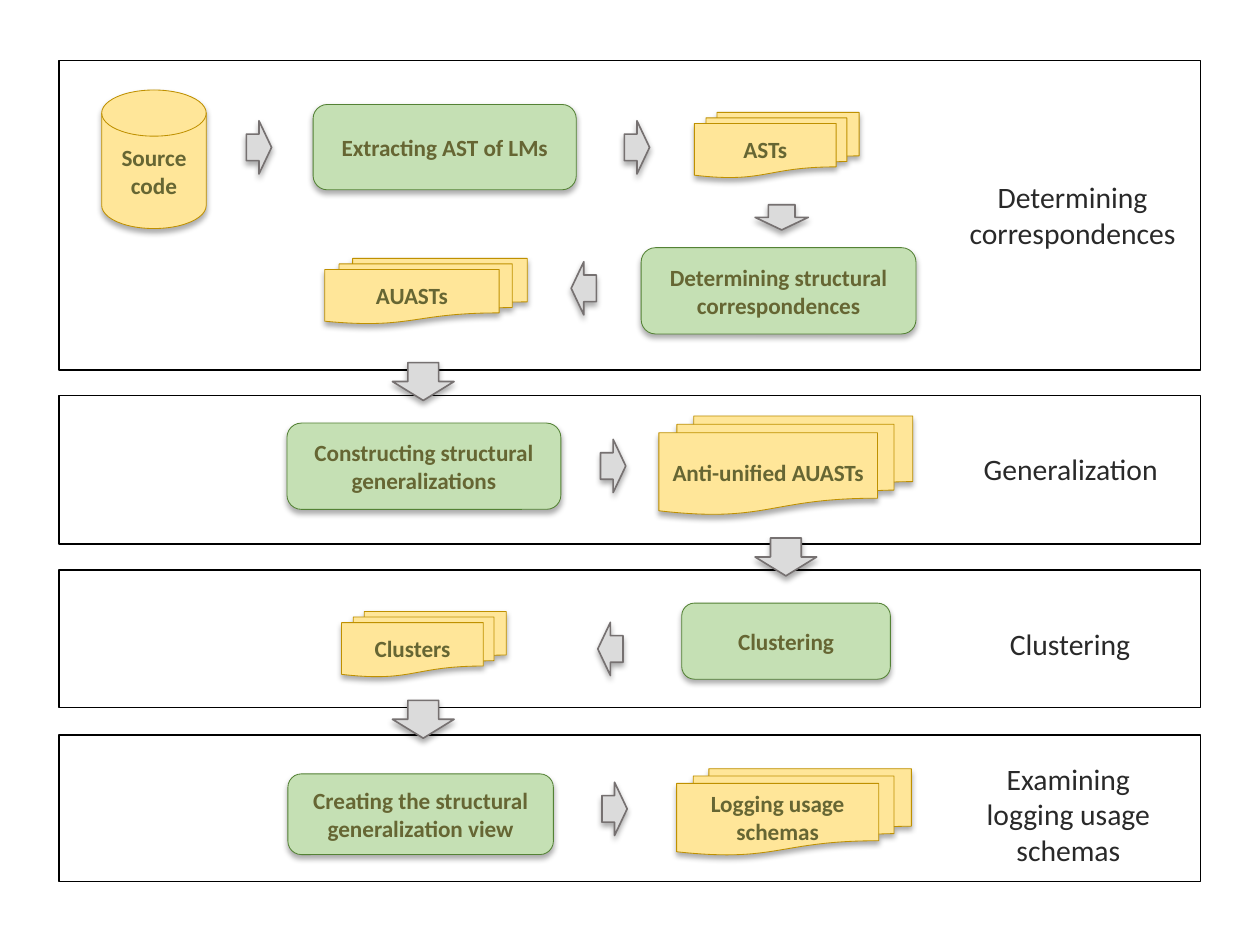
import pptx
import pptx.util
import pptx.dml.color
import pptx.enum.shapes
import pptx.enum.text
import pptx.oxml
import pptx.oxml.ns

Cm, Pt = pptx.util.Cm, pptx.util.Pt
SHAPE = pptx.enum.shapes.MSO_SHAPE
ALIGN = pptx.enum.text.PP_ALIGN
ANCHOR = pptx.enum.text.MSO_ANCHOR

COLORS = {
    "panel": "FFFFFF", "panel line": "000000",
    "data": "FFE699", "data line": "BF9000",
    "process": "C5E0B4", "process line": "548235",
    "arrow": "DBDBDB", "arrow line": "767171",
    "step text": "666633", "stage text": "292929",
}
SHADOW = (
    f'<a:effectLst {pptx.oxml.ns.nsdecls("a")}>'
    '<a:outerShdw blurRad="44450" dist="27940" dir="5400000" algn="ctr" rotWithShape="0">'
    '<a:srgbClr val="000000"><a:alpha val="32000"/></a:srgbClr>'
    '</a:outerShdw></a:effectLst>'
)

deck = pptx.Presentation()
deck.slide_width, deck.slide_height = Cm(27), Cm(20)
slide = deck.slides.add_slide(deck.slide_layouts[6])


def add_block(geometry, role, box, line_width=1, shadow=True):
    """Add a preset shape in the colours of its role; box is in cm."""
    block = slide.shapes.add_shape(geometry, *map(Cm, box))
    block.fill.solid()
    block.fill.fore_color.rgb = pptx.dml.color.RGBColor.from_string(COLORS[role])
    block.line.color.rgb = pptx.dml.color.RGBColor.from_string(COLORS[role + " line"])
    block.line.width = Pt(line_width)
    block.shadow.inherit = False
    if shadow:
        properties = block._element.spPr
        empty_effects = properties.find(pptx.oxml.ns.qn("a:effectLst"))
        properties.replace(empty_effects, pptx.oxml.parse_xml(SHADOW))
    return block


def write(holder, text, size=14.1, color="step text", bold=True,
          align=ALIGN.CENTER, anchor=ANCHOR.MIDDLE, margins=(0.2, 0.1)):
    """Put formatted text in a shape or text box; margins are side and top in cm."""
    frame = holder.text_frame
    frame.word_wrap = True
    frame.vertical_anchor = anchor
    frame.margin_left = frame.margin_right = Cm(margins[0])
    frame.margin_top = frame.margin_bottom = Cm(margins[1])
    paragraph = frame.paragraphs[0]
    paragraph.alignment = align
    run = paragraph.add_run()
    run.text = text
    run.font.name = "Calibri"
    run.font.size = Pt(size)
    run.font.bold = bold
    run.font.color.rgb = pptx.dml.color.RGBColor.from_string(COLORS[color])


# Stage panels: top and height
for top, height in [(1.3, 6.63), (8.48, 3.18), (12.22, 2.95), (15.75, 3.15)]:
    add_block(SHAPE.RECTANGLE, "panel", (1.27, top, 24.46, height), shadow=False)

# Steps: data stores, processes and document stacks
DISK = SHAPE.FLOWCHART_MAGNETIC_DISK
PROCESS = SHAPE.ROUNDED_RECTANGLE
DOCUMENTS = SHAPE.FLOWCHART_MULTIDOCUMENT
steps = [
    (DISK, "Source code", (2.18, 1.93, 2.24, 2.97)),
    (PROCESS, "Extracting AST of LMs", (6.71, 2.24, 5.64, 1.83)),
    (DOCUMENTS, "ASTs", (14.88, 2.41, 3.53, 1.4)),
    (PROCESS, "Determining structural correspondences", (13.74, 5.31, 5.89, 1.85)),
    (DOCUMENTS, "AUASTs", (6.96, 5.54, 4.34, 1.4)),
    (PROCESS, "Constructing structural generalizations", (6.15, 9.07, 5.87, 1.85)),
    (DOCUMENTS, "Anti-unified AUASTs", (14.12, 8.92, 5.44, 2.11)),
    (PROCESS, "Clustering", (14.61, 12.93, 4.47, 1.63)),
    (DOCUMENTS, "Clusters", (7.32, 13.11, 3.53, 1.4)),
    (PROCESS, "Creating the structural generalization view", (6.17, 16.59, 5.69, 1.73)),
    (DOCUMENTS, "Logging usage schemas", (14.5, 16.48, 5.03, 1.85)),
]
for geometry, caption, box in steps:
    role = "process" if geometry == PROCESS else "data"
    write(add_block(geometry, role, box, line_width=0.5), caption)

# Arrows: centre, rotation and size (length, breadth)
WITHIN, BETWEEN = (0.54, 1.14), (0.81, 1.32)
RIGHT, DOWN, LEFT = 0, 90, 180
arrows = [
    (5.55, 3.16, RIGHT, WITHIN), (13.65, 3.16, RIGHT, WITHIN),
    (16.75, 4.66, DOWN, WITHIN), (12.51, 6.18, LEFT, WITHIN),
    (9.07, 8.18, DOWN, BETWEEN), (13.14, 9.99, RIGHT, WITHIN),
    (16.84, 11.94, DOWN, BETWEEN), (13.08, 13.91, LEFT, WITHIN),
    (9.07, 15.42, DOWN, BETWEEN), (13.17, 17.34, RIGHT, WITHIN),
]
for center_x, center_y, direction, (length, breadth) in arrows:
    box = (center_x - length / 2, center_y - breadth / 2, length, breadth)
    add_block(SHAPE.RIGHT_ARROW, "arrow", box).rotation = direction

# Stage names
stages = [
    ("Determining correspondences", (20.47, 3.71, 5.03, 1.8), ALIGN.CENTER),
    ("Generalization", (20.83, 9.53, 4.34, 1.02), ALIGN.LEFT),
    ("Clustering", (21.39, 13.28, 4.34, 1.02), ALIGN.LEFT),
    ("Examining logging usage schemas", (20.62, 16.18, 4.55, 2.57), ALIGN.CENTER),
]
for stage, box, align in stages:
    write(slide.shapes.add_textbox(*map(Cm, box)), stage, size=18, color="stage text",
          bold=False, align=align, anchor=ANCHOR.TOP, margins=(0.25, 0.13))

deck.save("out.pptx")
